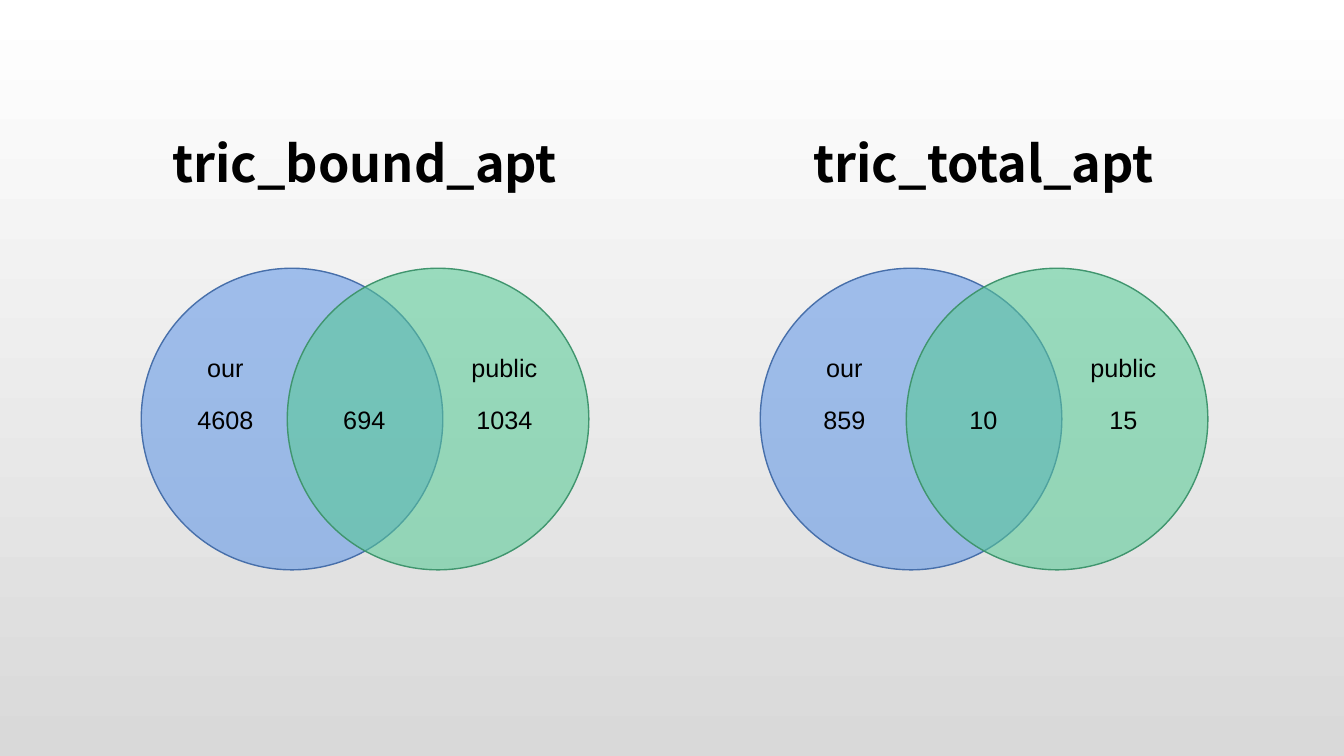
"""Build a slide with two Venn diagrams, each under its own heading."""
from lxml.etree import SubElement
from pptx import Presentation
from pptx.dml.color import RGBColor
from pptx.enum.shapes import MSO_SHAPE as Shape
from pptx.enum.text import MSO_ANCHOR as Anchor, PP_ALIGN as Align
from pptx.oxml.ns import qn
from pptx.util import Cm, Pt

WHITE = RGBColor(0xFF, 0xFF, 0xFF)
GREY = RGBColor(0xD9, 0xD9, 0xD9)
BLACK = RGBColor(0x00, 0x00, 0x00)
BLUE = RGBColor(0x60, 0x96, 0xE6)
DARK_BLUE = RGBColor(0x47, 0x6F, 0xAA)
GREEN = RGBColor(0x56, 0xCA, 0x95)
DARK_GREEN = RGBColor(0x40, 0x95, 0x6E)

NO_STYLE = "{2D5ABB26-0587-4C30-8999-92F81FD0307C}"
HEADING = {"name": "Noto Sans CJK SC", "size": Pt(36), "bold": True}
LABEL = {"name": "Arial", "size": Pt(18), "bold": False}

DIAGRAM_STEP = 15.6
CIRCLE_SIZE = 7.6
CIRCLES = [(3.56, BLUE, DARK_BLUE), (7.24, GREEN, DARK_GREEN)]
OUR, SHARED, PUBLIC = 5.68, 9.18, 12.71
LABEL_TOP, NUMBER_TOP = 8.76, 10.06
DIAGRAMS = [
    ("tric_bound_apt", "4608", "694", "1034"),
    ("tric_total_apt", "859", "10", "15"),
]


def write(frame, text, font_format):
    para = frame.paragraphs[0]
    para.alignment = Align.CENTER
    span = para.add_run()
    span.text = text
    span.font.color.rgb = BLACK
    for name, value in font_format.items():
        setattr(span.font, name, value)


def add_label(shapes, text, center, top, width):
    box = shapes.add_textbox(Cm(center - width / 2), Cm(top), Cm(width), Cm(1.02))
    box.text_frame.word_wrap = True
    write(box.text_frame, text, LABEL)


deck = Presentation()
deck.slide_width, deck.slide_height = Cm(33.87), Cm(19.05)
page = deck.slides.add_slide(deck.slide_layouts[6])

backdrop = page.background.fill
backdrop.gradient()
backdrop.gradient_angle = 270
for stop, color in zip(backdrop.gradient_stops, (WHITE, GREY)):
    stop.color.rgb = color

for index, (heading, our, shared, public) in enumerate(DIAGRAMS):
    shift = index * DIAGRAM_STEP

    table = page.shapes.add_table(
        1, 1, Cm(4.11 + shift), Cm(2.62), Cm(10.16), Cm(2.95)).table
    table.first_row = table.horz_banding = False
    table._tbl.tblPr.find(qn("a:tableStyleId")).text = NO_STYLE
    cell = table.cell(0, 0)
    cell.fill.background()
    cell_format = {
        "vertical_anchor": Anchor.MIDDLE, "margin_left": Cm(0.03),
        "margin_right": Cm(0.03), "margin_top": Cm(0.03), "margin_bottom": Cm(0.13),
    }
    for name, value in cell_format.items():
        setattr(cell, name, value)
    write(cell.text_frame, heading, HEADING)

    venn = page.shapes.add_group_shape()
    for left, fill, line in CIRCLES:
        circle = venn.shapes.add_shape(
            Shape.OVAL, Cm(left + shift), Cm(6.76), Cm(CIRCLE_SIZE), Cm(CIRCLE_SIZE))
        circle.shadow.inherit = False
        circle.fill.solid()
        circle.fill.fore_color.rgb = fill
        tint = circle.fill._xPr.find(qn("a:solidFill"))[0]
        SubElement(tint, qn("a:alpha"), val="57000")
        circle.line.color.rgb = line
        circle.line.width = Pt(1)
    for text, center in (("our", OUR), ("public", PUBLIC)):
        add_label(venn.shapes, text, center + shift, LABEL_TOP, 3.12)

    for text, center in ((our, OUR), (shared, SHARED), (public, PUBLIC)):
        add_label(page.shapes, text, center + shift, NUMBER_TOP, 2.2)

deck.save("out.pptx")
